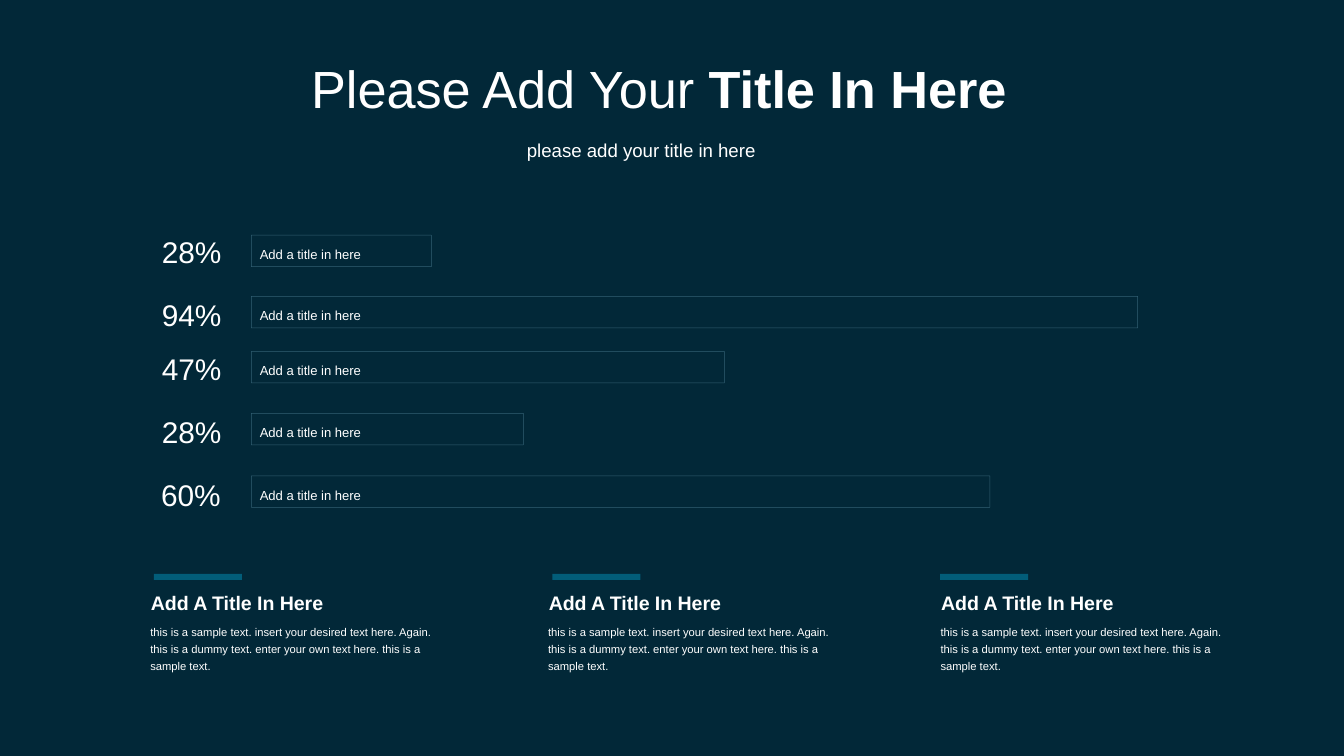
from typing import NamedTuple

from lxml import etree
from pptx import Presentation
from pptx.dml.color import RGBColor
from pptx.enum.shapes import MSO_SHAPE
from pptx.enum.text import MSO_ANCHOR, MSO_AUTO_SIZE, PP_ALIGN
from pptx.oxml.ns import qn
from pptx.util import Inches, Pt

RECTANGLE = MSO_SHAPE.RECTANGLE
TOP = MSO_ANCHOR.TOP
LEFT = PP_ALIGN.LEFT
FIXED_SIZE = MSO_AUTO_SIZE.NONE

SLIDE_WIDTH = Inches(10)
SLIDE_HEIGHT = SLIDE_WIDTH * 9 // 16
CELL = SLIDE_WIDTH / 100  # square grid, 100 columns across the slide
FONT = "Arial"
COLORS = {
    "background": "022838",
    "text": "FFFFFF",
    "outline": "A4E2FE",
    "accent": "025D79",
}
OUTLINE_OPACITY = 30

BAR_LEFT, BAR_HEIGHT = 18.7, 2.35
CAPTION = "Add a title in here"
COLUMN_TITLE = "Add A Title In Here"
COLUMN_TEXT = (
    "this is a sample text. insert your desired text here. Again. "
    "this is a dummy text. enter your own text here. this is a sample text."
)


class Box(NamedTuple):
    """Left, top, width and height in grid cells."""

    left: float
    top: float
    width: float
    height: float

    def lengths(self) -> list[int]:
        return [round(value * CELL) for value in self]


class Bar(NamedTuple):
    percent: str
    label_left: float
    label_top: float
    top: float
    width: float


class Column(NamedTuple):
    title_left: float
    text_left: float
    accent_left: float


BARS = [
    Bar("28%", 11.05, 16.9, 17.5, 13.4),
    Bar("94%", 11.05, 21.6, 22.05, 65.95),
    Bar("47%", 11.05, 25.6, 26.15, 35.2),
    Bar("28%", 11.05, 30.3, 30.75, 20.25),
    Bar("60%", 11.0, 35.0, 35.4, 54.95),
]
COLUMNS = [
    Column(10.25, 10.2, 11.45),
    Column(39.85, 39.8, 41.1),
    Column(69.05, 69.0, 69.95),
]


def color(name: str) -> RGBColor:
    return RGBColor.from_string(COLORS[name])


def write_text(shape, text: str, *, size: float, bold: bool = False, bold_tail: str = "",
               line_points: float | None = None, wrap: bool = False) -> None:
    """Fill a shape with one left-aligned paragraph, with an optional bold ending."""
    frame = shape.text_frame
    frame.auto_size = FIXED_SIZE
    frame.word_wrap = wrap
    frame.vertical_anchor = TOP
    paragraph = frame.paragraphs[0]
    paragraph.alignment = LEFT
    paragraph.space_before = Pt(0)
    if line_points:
        paragraph.line_spacing = Pt(line_points)
    for part, is_bold in ((text, bold), (bold_tail, True)):
        if part:
            run = paragraph.add_run()
            run.text = part
            run.font.name = FONT
            run.font.size = Pt(size)
            run.font.bold = is_bold
            run.font.color.rgb = color("text")


def add_text(slide, box: Box, text: str, **text_format) -> None:
    write_text(slide.shapes.add_textbox(*box.lengths()), text, **text_format)


def fill_placeholder(placeholder, box: Box, text: str, **text_format) -> None:
    placeholder.left, placeholder.top, placeholder.width, placeholder.height = box.lengths()
    write_text(placeholder, text, **text_format)


def add_rectangle(slide, box: Box):
    shape = slide.shapes.add_shape(RECTANGLE, *box.lengths())
    shape.shadow.inherit = False
    return shape


def add_bar(slide, bar: Bar) -> None:
    add_text(slide, Box(bar.label_left, bar.label_top, 6.5, 3.7), bar.percent, size=16)
    add_text(slide, Box(BAR_LEFT - 0.35, bar.top - 0.15, 9.7, 2.7), CAPTION,
             size=7, line_points=12, wrap=True)
    outline = add_rectangle(slide, Box(BAR_LEFT, bar.top, bar.width, BAR_HEIGHT))
    outline.fill.background()
    outline.line.width = Pt(0.25)
    outline.line.color.rgb = color("outline")
    line_color = outline.element.spPr.find(f"{qn('a:ln')}//{qn('a:srgbClr')}")
    etree.SubElement(line_color, qn("a:alpha"), val=str(OUTLINE_OPACITY * 1000))


def add_column(slide, column: Column) -> None:
    accent = add_rectangle(slide, Box(column.accent_left, 42.7, 6.55, 0.45))
    accent.fill.solid()
    accent.fill.fore_color.rgb = color("accent")
    accent.line.fill.background()
    add_text(slide, Box(column.title_left, 43.6, 18.7, 2.7), COLUMN_TITLE,
             size=10.5, bold=True, line_points=12, wrap=True)
    add_text(slide, Box(column.text_left, 45.8, 24.3, 4.7), COLUMN_TEXT,
             size=6, line_points=9, wrap=True)


def main() -> None:
    presentation = Presentation()
    presentation.slide_width, presentation.slide_height = SLIDE_WIDTH, SLIDE_HEIGHT
    slide = presentation.slides.add_slide(presentation.slide_layouts[0])
    slide.background.fill.solid()
    slide.background.fill.fore_color.rgb = color("background")

    title, subtitle = slide.placeholders
    fill_placeholder(title, Box(22.15, 3.7, 54.4, 5.7), "Please Add Your ",
                     size=28, bold_tail="Title In Here")
    fill_placeholder(subtitle, Box(38.2, 9.85, 19.1, 2.7), "please add your title in here",
                     size=10)
    for bar in BARS:
        add_bar(slide, bar)
    for column in COLUMNS:
        add_column(slide, column)
    presentation.save("out.pptx")


if __name__ == "__main__":
    main()
